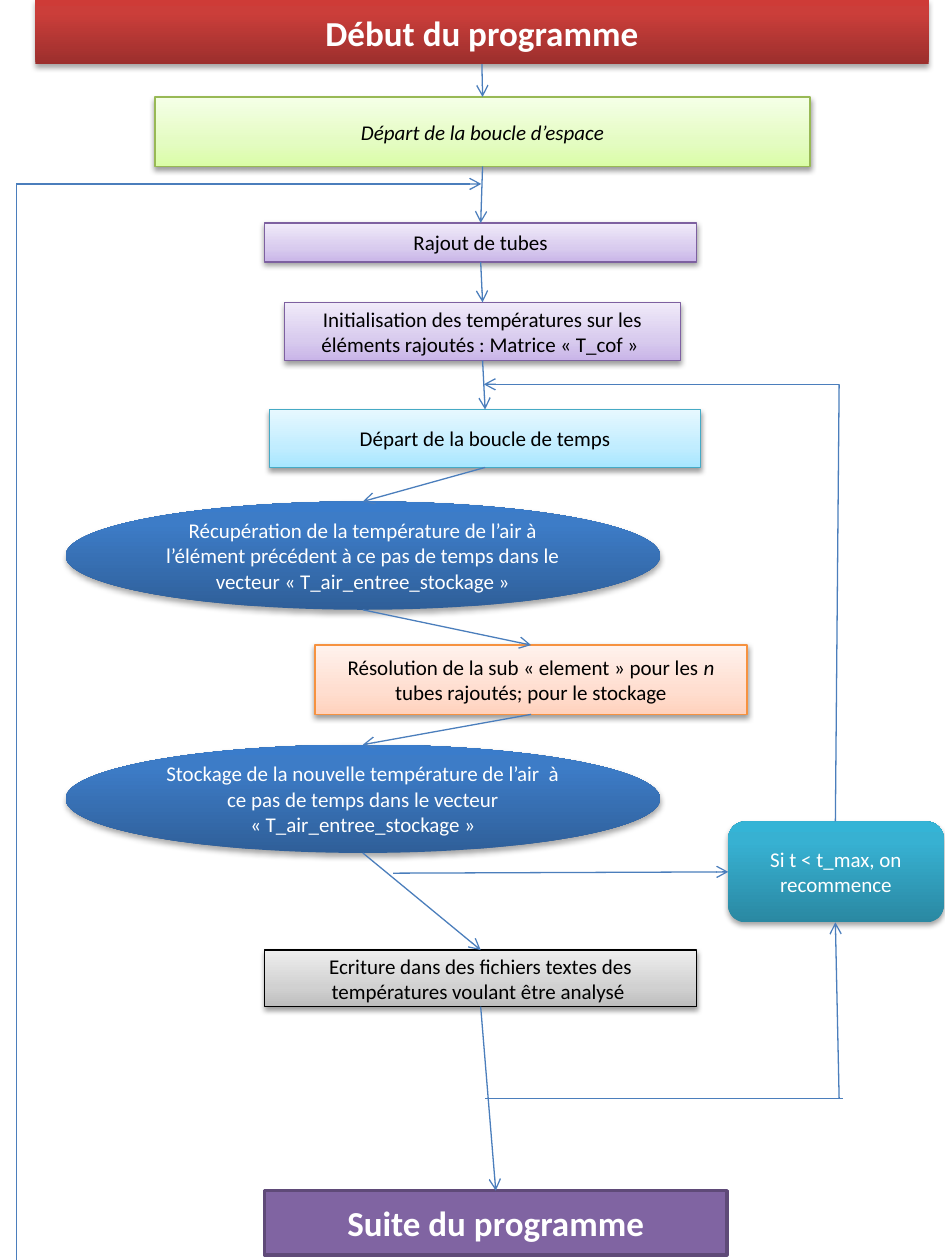
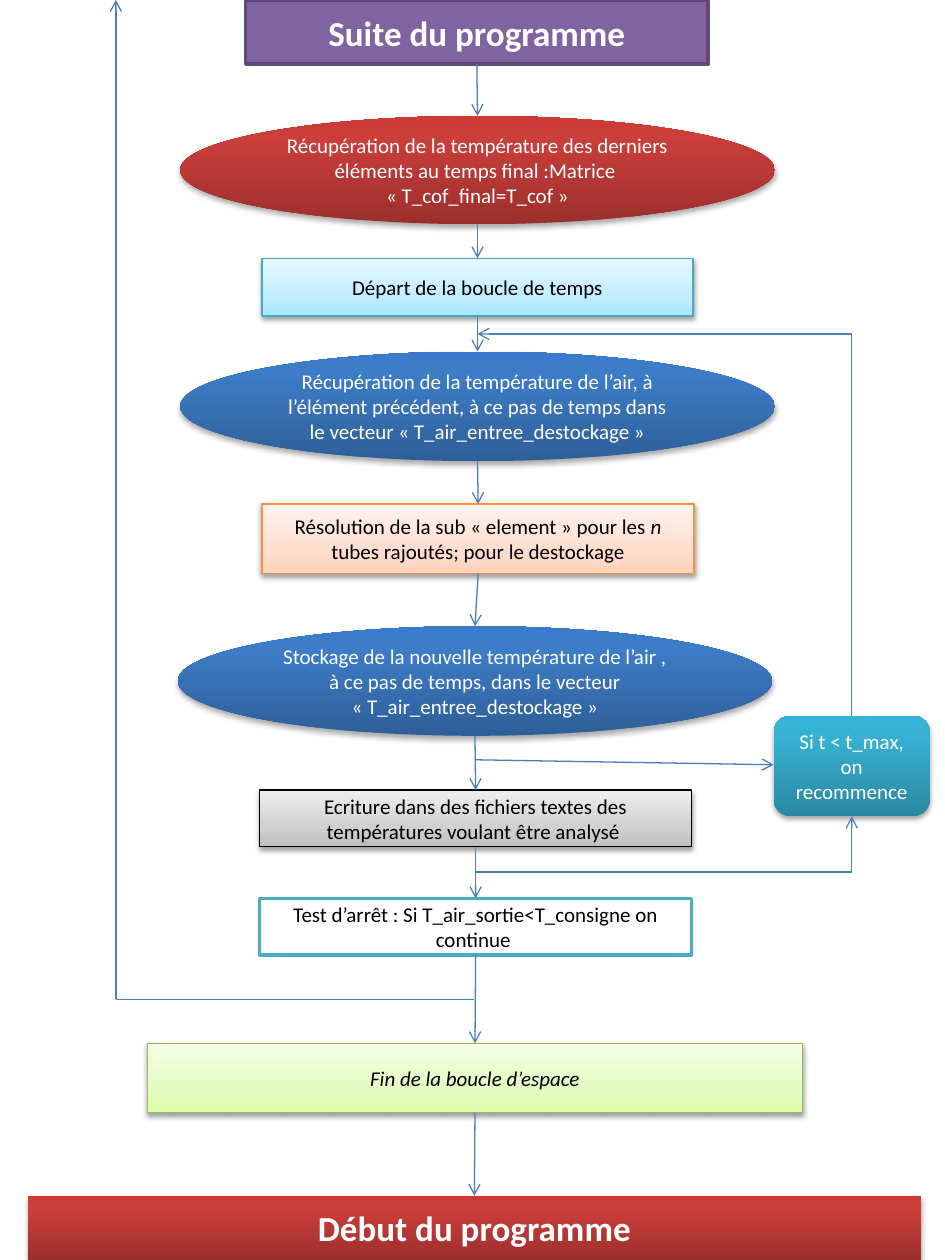
from lxml import etree
from pptx import Presentation
from pptx.dml.color import RGBColor as RGB
from pptx.enum.shapes import MSO_CONNECTOR as LINK, MSO_SHAPE as FORM
from pptx.enum.text import MSO_ANCHOR as ANCHOR, PP_ALIGN as ALIGN
from pptx.oxml import parse_xml
from pptx.oxml.ns import nsdecls, qn
from pptx.util import Inches, Pt

FONT = "Calibri"
HUES = {"link": "4B7EBC", "white": "FFFFFF", "black": "000000",
        "plum": "8064A2", "dusk": "5F4A78", "aqua": "4BACC6",
        "leaf": "98B955", "mauve": "7D60A0", "sky": "46AAC5", "amber": "F69240"}
# Gradients run from bottom to top: deep ones stop at 80 %, pale ones at 35 %
DEEP = {"red": ("9C2F2D", "CB3E3A", "CE3B37"),
        "blue": ("2F5F99", "3D7CC7", "3A7CCB"),
        "teal": ("2A88A2", "37B1D2", "34B4D6")}
PALE = {"green": ("DAFDA7", "E4FCC2", "F5FFE7"),
        "violet": ("C9B5E8", "D8CBEE", "F0EAF9"),
        "cyan": ("A7E6FF", "C1EDFF", "E7F8FF"),
        "peach": ("FFD2BD", "FFDED0", "FFF2ED"),
        "grey": ("BDBDBD", "D1D1D1", "EEEEEE")}
# Style: form, fill, edge, edge width, text colour, text size
STYLES = {
    "title": (FORM.RECTANGLE, "red", None, 0, "white", 20),
    "next": (FORM.RECTANGLE, "plum", "dusk", 2, "white", 20),
    "space": (FORM.RECTANGLE, "green", "leaf", 0.75, "black", 12),
    "tube": (FORM.RECTANGLE, "violet", "mauve", 0.75, "black", 12),
    "time": (FORM.RECTANGLE, "cyan", "sky", 0.75, "black", 12),
    "solve": (FORM.RECTANGLE, "peach", "amber", 0.75, "black", 12),
    "write": (FORM.RECTANGLE, "grey", "black", 0.75, "black", 12),
    "test": (FORM.RECTANGLE, "white", "aqua", 2, "black", 12),
    "store": (FORM.OVAL, "blue", None, 0, "white", 12),
    "final": (FORM.OVAL, "red", None, 0, "white", 12),
    "again": (FORM.ROUNDED_RECTANGLE, "teal", None, 0, "white", 12),
}


def add_box(slide, style, left, top, width, height, text):
    """Draw one step of the flow; *stars* enclose italic words."""
    form, fill, edge, weight, ink, size = STYLES[style]
    box = slide.shapes.add_shape(form, Inches(left), Inches(top),
                                 Inches(width), Inches(height))
    box.shadow.inherit = False
    props = box._element.spPr
    if fill in HUES:
        box.fill.solid()
        box.fill.fore_color.rgb = RGB.from_string(HUES[fill])
    else:
        deep = fill in DEEP
        mid, alpha, drop = (80, 35, 1.8) if deep else (35, 38, 1.6)
        box.fill.gradient()
        box.fill.gradient_angle = 90
        stops = props.find(qn("a:gradFill")).find(qn("a:gsLst"))
        for stop in list(stops):
            stops.remove(stop)
        for pos, tint in zip((0, mid, 100), (DEEP if deep else PALE)[fill]):
            stop = etree.SubElement(stops, qn("a:gs"), pos=str(pos * 1000))
            etree.SubElement(stop, qn("a:srgbClr"), val=tint)
        props.find(qn("a:effectLst")).append(parse_xml(
            f'<a:outerShdw {nsdecls("a")} blurRad="{Pt(3.1)}" dist="{Pt(drop)}" '
            f'dir="5400000" rotWithShape="0"><a:srgbClr val="{HUES["black"]}">'
            f'<a:alpha val="{alpha * 1000}"/></a:srgbClr></a:outerShdw>'))
    if edge:
        box.line.color.rgb = RGB.from_string(HUES[edge])
        box.line.width = Pt(weight)
    else:
        box.line.fill.background()

    frame = box.text_frame
    frame.word_wrap = True
    frame.vertical_anchor = ANCHOR.MIDDLE
    para = frame.paragraphs[0]
    para.alignment = ALIGN.CENTER
    text = text.replace("« ", "«\u00a0").replace(" »", "\u00a0»")
    for i, part in enumerate(text.split("*")):
        if part:
            run = para.add_run()
            run.text = part
            run.font.name = FONT
            run.font.size = Pt(size)
            run.font.bold = size == 20
            run.font.italic = i % 2 == 1
            run.font.color.rgb = RGB.from_string(HUES[ink])


def add_link(slide, start, end, arrow=True):
    """Draw a straight line between two points, with an arrowhead if asked."""
    link = slide.shapes.add_connector(LINK.STRAIGHT, *map(Inches, start + end))
    link.line.color.rgb = RGB.from_string(HUES["link"])
    link.line.width = Pt(0.75)
    if arrow:
        etree.SubElement(link.line._get_or_add_ln(), qn("a:tailEnd"), type="arrow")
    etree.SubElement(link._element.spPr, qn("a:effectLst"))


START = "Début du programme"
NEXT = "Suite du programme"
TIME = "Départ de la boucle de temps"
WRITE = "Ecriture dans des fichiers textes des températures voulant être analysé "
AGAIN = "Si t < t_max, on recommence"
SOLVE = "Résolution de la sub « element » pour les *n* tubes rajoutés; pour le "

# Each page: steps from top to bottom, restart box, loop lines (start, end, arrow)
PAGES = [
    ([("title", 0.28, 0, 7.09, 0.51, START),
      ("space", 1.23, 0.77, 5.2, 0.55, "*Départ de la boucle d’espace*"),
      ("tube", 2.1, 1.77, 3.43, 0.31, "Rajout de tubes"),
      ("tube", 2.26, 2.4, 3.14, 0.46, "Initialisation des températures sur les "
       "éléments rajoutés : Matrice « T_cof » "),
      ("time", 2.14, 3.25, 3.42, 0.46, TIME),
      ("store", 0.52, 3.98, 4.72, 0.86, "Récupération de la température de l’air à "
       "l’élément précédent à ce pas de temps dans le vecteur "
       "« T_air_entree_stockage »"),
      ("solve", 2.5, 5.12, 3.43, 0.55, SOLVE + "stockage"),
      ("store", 0.52, 5.91, 4.72, 0.86, "Stockage de la nouvelle température de "
       "l’air  à ce pas de temps dans le vecteur « T_air_entree_stockage »"),
      ("write", 2.1, 7.54, 3.43, 0.45, WRITE),
      ("next", 2.1, 9.45, 3.67, 0.51, NEXT)],
     ("again", 5.78, 6.52, 1.71, 0.8, AGAIN),
     [((3.12, 6.93), (5.78, 6.92), True),
      ((3.85, 8.72), (6.69, 8.72), False),
      ((6.66, 8.72), (6.63, 7.32), True),
      ((6.63, 6.52), (6.66, 3.05), False),
      ((6.66, 3.05), (3.84, 3.05), True),
      ((0.13, 10), (0.13, 1.46), False),
      ((0.13, 1.46), (3.82, 1.46), True)]),
    ([("next", 1.95, 0, 3.67, 0.51, NEXT),
      ("final", 1.43, 0.92, 4.72, 0.86, "Récupération de la température des "
       "derniers éléments au temps final :Matrice\u00a0 « T_cof_final=T_cof »"),
      ("time", 2.08, 2.05, 3.42, 0.46, TIME),
      ("store", 1.43, 2.79, 4.72, 0.87, "Récupération de la température de l’air, à "
       "l’élément précédent, à ce pas de temps dans le vecteur "
       "« T_air_entree_destockage »"),
      ("solve", 2.08, 4, 3.43, 0.55, SOLVE + "destockage"),
      ("store", 1.41, 4.97, 4.72, 0.87, "Stockage de la nouvelle température de "
       "l’air , à ce pas de temps, dans le vecteur « T_air_entree_destockage »"),
      ("write", 2.06, 6.27, 3.43, 0.45, WRITE),
      ("test", 2.06, 7.13, 3.43, 0.45,
       "Test d’arrêt : Si T_air_sortie<T_consigne on continue "),
      ("space", 1.17, 8.28, 5.2, 0.55, "*Fin de la boucle d’espace*"),
      ("title", 0.22, 9.49, 7.09, 0.51, START)],
     ("again", 6.14, 5.68, 1.24, 0.8, AGAIN),
     [((3.77, 6.03), (6.14, 6.07), True),
      ((3.78, 6.92), (6.76, 6.92), False),
      ((6.76, 6.92), (6.76, 6.48), True),
      ((6.76, 5.68), (6.76, 2.65), False),
      ((6.76, 2.65), (3.79, 2.65), True),
      ((3.76, 7.93), (0.92, 7.93), False),
      ((0.92, 7.93), (0.92, 0), True)]),
]

deck = Presentation()
deck.slide_width = Inches(7.5)
deck.slide_height = Inches(10)
for steps, again, loops in PAGES:
    slide = deck.slides.add_slide(deck.slide_layouts[6])
    for step in steps + [again]:
        add_box(slide, *step)
    # Each step leads from its bottom centre to the top centre of the one below
    for (_, x, y, w, h, _), (_, left, top, wide, _, _) in zip(steps, steps[1:]):
        add_link(slide, (x + w / 2, y + h), (left + wide / 2, top))
    for start, end, arrow in loops:
        add_link(slide, start, end, arrow)
deck.save("out.pptx")
